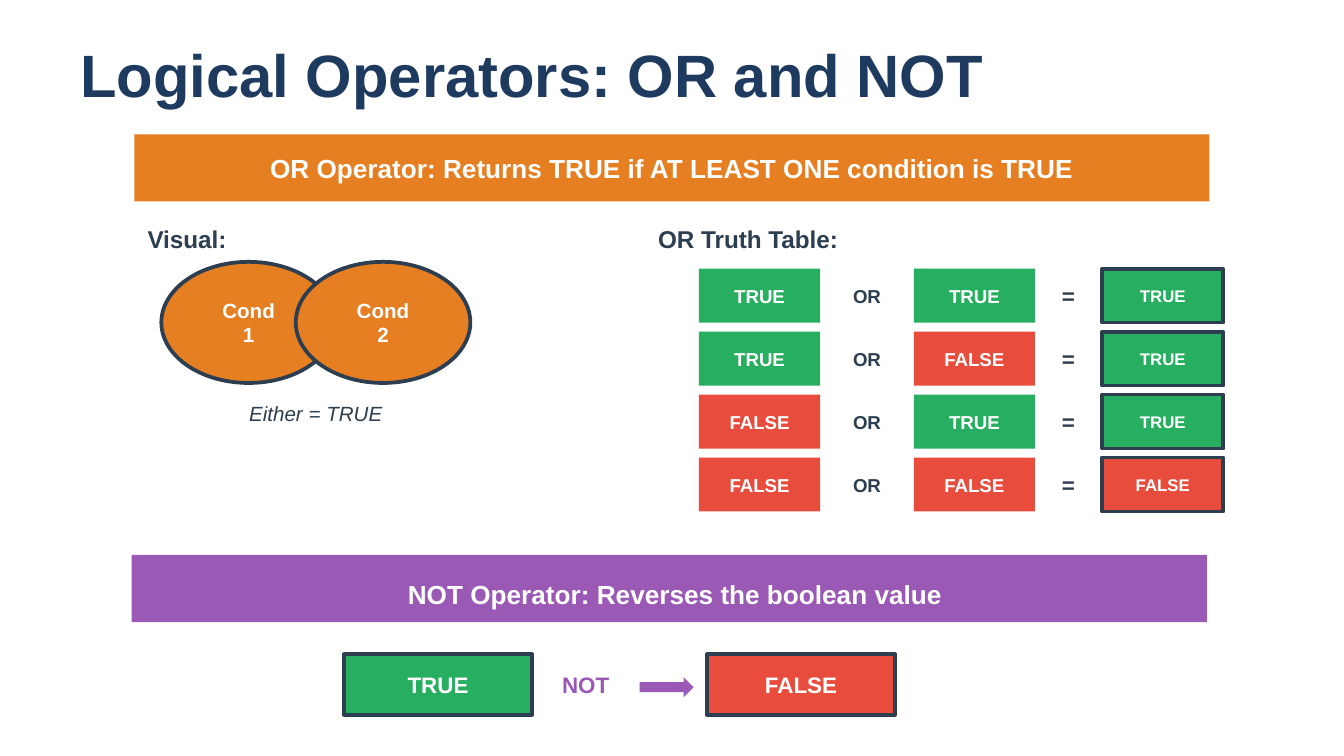
from pptx import Presentation
from pptx.dml.color import RGBColor
from pptx.enum.shapes import MSO_SHAPE
from pptx.enum.text import MSO_ANCHOR, PP_ALIGN
from pptx.util import Cm, Pt

COLORS = {
    "title": "1E3A5F",
    "dark": "2C3E50",
    "white": "FFFFFF",
    "or": "E67E22",
    "not": "9B59B6",
    "TRUE": "27AE60",
    "FALSE": "E74C3C",
}

deck = Presentation()
deck.slide_width, deck.slide_height = Cm(25.4), Cm(14.29)
page = deck.slides.add_slide(deck.slide_layouts[6])


def write(box, text, size, color, align=PP_ALIGN.CENTER, italic=False):
    frame = box.text_frame
    frame.word_wrap = True
    frame.vertical_anchor = MSO_ANCHOR.MIDDLE
    frame.text = text
    for para in frame.paragraphs:
        para.alignment = align
        para.font.name = "Arial"
        para.font.size = Pt(size)
        para.font.bold = not italic
        para.font.italic = italic
        para.font.color.rgb = RGBColor.from_string(COLORS[color])


def draw(kind, left, top, width, height, color, outlined=False):
    shape = page.shapes.add_shape(kind, Cm(left), Cm(top), Cm(width), Cm(height))
    shape.shadow.inherit = False
    shape.fill.solid()
    shape.fill.fore_color.rgb = RGBColor.from_string(COLORS[color])
    if outlined:
        shape.line.color.rgb = RGBColor.from_string(COLORS["dark"])
        shape.line.width = Pt(2)
    else:
        shape.line.fill.background()
    return shape


# Banners behind the section statements
or_banner = draw(MSO_SHAPE.RECTANGLE, 2.54, 2.54, 20.32, 1.27, "or")
write(or_banner, "OR Operator: Returns TRUE if AT LEAST ONE condition is TRUE", 14, "white")
draw(MSO_SHAPE.RECTANGLE, 2.49, 10.49, 20.32, 1.27, "not")

# Title, headings and captions
labels = [
    ("Logical Operators: OR and NOT", 1.27, 0.76, 22.86, 1.27, 32, "title", PP_ALIGN.LEFT, False),
    ("Visual:", 2.54, 4.19, 8.89, 0.64, 13, "dark", PP_ALIGN.LEFT, False),
    ("OR Truth Table:", 12.19, 4.19, 11.18, 0.64, 13, "dark", PP_ALIGN.LEFT, False),
    ("Either = TRUE", 3.05, 7.49, 5.84, 0.64, 11, "dark", PP_ALIGN.CENTER, True),
    ("NOT Operator: Reverses the boolean value", 5.51, 10.97, 14.5, 0.53, 14, "white",
     PP_ALIGN.CENTER, False),
    ("NOT", 10.31, 12.5, 1.52, 0.89, 12, "not", PP_ALIGN.CENTER, False),
]
for text, left, top, width, height, size, color, align, italic in labels:
    box = page.shapes.add_textbox(Cm(left), Cm(top), Cm(width), Cm(height))
    write(box, text, size, color, align, italic)

# Overlapping conditions
for number in (1, 2):
    left = 3.05 + (number - 1) * 2.54
    condition = draw(MSO_SHAPE.OVAL, left, 4.95, 3.3, 2.29, "or", outlined=True)
    write(condition, f"Cond\n{number}", 11, "white")

# OR truth table: value tiles with operator signs between them
operands = [("TRUE", "TRUE"), ("TRUE", "FALSE"), ("FALSE", "TRUE"), ("FALSE", "FALSE")]
for row, (first, second) in enumerate(operands):
    top = 5.08 + row * 1.19
    result = "TRUE" if "TRUE" in (first, second) else "FALSE"
    for value, left, size, outlined in [
        (first, 13.21, 10, False),
        (second, 17.27, 10, False),
        (result, 20.83, 9, True),
    ]:
        tile = draw(MSO_SHAPE.RECTANGLE, left, top, 2.29, 1.02, value, outlined)
        write(tile, value, size, "white")
    for sign, left, width, size in [("OR", 15.75, 1.27, 10), ("=", 19.81, 0.76, 12)]:
        box = page.shapes.add_textbox(Cm(left), Cm(top + 0.13), Cm(width), Cm(0.76))
        write(box, sign, size, "dark")

# NOT example: TRUE becomes FALSE
for value, left in [("TRUE", 6.5), ("FALSE", 13.36)]:
    tile = draw(MSO_SHAPE.RECTANGLE, left, 12.37, 3.56, 1.14, value, outlined=True)
    write(tile, value, 12, "white")
draw(MSO_SHAPE.RIGHT_ARROW, 12.09, 12.8, 1.02, 0.38, "not")

deck.save("out.pptx")
